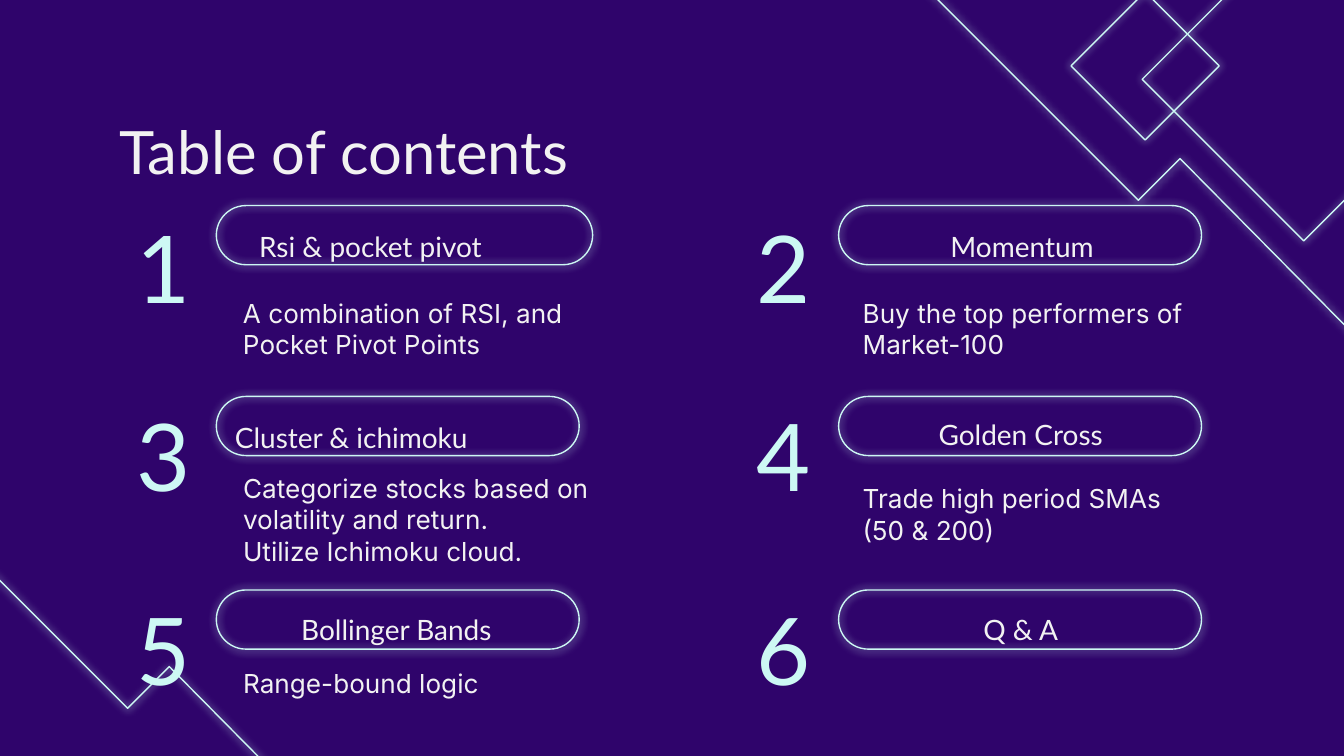
from lxml import etree
from pptx import Presentation
from pptx.dml.color import RGBColor
from pptx.enum.shapes import MSO_SHAPE as Kind
from pptx.enum.text import MSO_ANCHOR as Anchor, PP_ALIGN as Align
from pptx.oxml.ns import qn
from pptx.util import Inches, Pt

BACK, GLOW, PALE = "2F046B", "CDF8F4", "F2F2F2"
LEFT, MID = Align.LEFT, Align.CENTER
TITLE = "Table of contents"

# label, label box, alignment, pill width, detail, detail top, detail width
ITEMS = [
    ("Rsi & pocket pivot", (1.83, 1.55, 2.91, 0.44), LEFT, 2.8,
     "A combination of RSI, and Pocket Pivot Points", 2.13, 2.6),
    ("Momentum", (6.15, 1.51, 2.91, 0.52), MID, 2.7,
     "Buy the top performers of Market-100", 2.13, 2.91),
    ("Cluster & ichimoku", (1.65, 2.93, 3.14, 0.52), LEFT, 2.7,
     "Categorize stocks based on volatility and return.\nUtilize Ichimoku cloud.", 3.55, 2.91),
    ("Golden Cross", (6.32, 2.91, 2.55, 0.52), MID, 2.7,
     "Trade high period SMAs\v(50 & 200)", 3.51, 2.91),
    ("Bollinger Bands", (1.71, 4.36, 2.48, 0.52), MID, 2.7,
     "Range-bound logic", 4.77, 2.91),
    ("Q & A", (6.32, 4.36, 2.55, 0.52), MID, 2.7, None, 0, 0),
]
ROWS = [(1.46, 1.53), (2.86, 2.95), (4.3, 4.39)]
COLS = [(0.54, 1.61, 1.71), (5.15, 6.24, 6.32)]
SQUARES = [(8.85, -0.26, 1.7), (8.13, 0.1, 0.78)]
ZIGZAG = [(0, 0), (1.6, 1.6), (1.91, 1.29), (3.65, 3.05)]
CORNERS = [(6.87, -0.11), (-0.65, 3.67)]


def color(code):
    return RGBColor.from_string(code)


def neon(shape):
    shape.shadow.inherit = False
    shape.fill.background()
    shape.line.color.rgb = color(GLOW)
    shape.line.width = Pt(0.75)
    effects = shape._element.spPr.find(qn("a:effectLst"))
    shade = etree.SubElement(effects, qn("a:outerShdw"), blurRad=str(Pt(4.5)),
                             dist="0", dir="0", algn="bl", rotWithShape="0")
    etree.SubElement(shade, qn("a:srgbClr"), val=GLOW)


def outline(kind, x, y, w, h):
    shape = slide.shapes.add_shape(kind, Inches(x), Inches(y), Inches(w), Inches(h))
    neon(shape)
    return shape


def write(words, x, y, w, h, size, font="Lato", tint=PALE,
          align=LEFT, space=1.5, anchor=Anchor.MIDDLE):
    frame = slide.shapes.add_textbox(
        Inches(x), Inches(y), Inches(w), Inches(h)).text_frame
    frame.word_wrap = True
    frame.vertical_anchor = anchor
    frame.margin_left = frame.margin_right = Inches(0.1)
    frame.margin_top = frame.margin_bottom = Inches(0.1)
    frame.text = words
    for para in frame.paragraphs:
        para.alignment = align
        para.line_spacing = space
        for run in para.runs:
            run.font.size = Pt(size)
            run.font.name = font
            run.font.color.rgb = color(tint)


deck = Presentation()
deck.slide_width = Inches(10)
deck.slide_height = deck.slide_width * 9 // 16
slide = deck.slides.add_slide(deck.slide_layouts[6])
slide.background.fill.solid()
slide.background.fill.fore_color.rgb = color(BACK)

for x, y, side in SQUARES:
    outline(Kind.RECTANGLE, x, y, side, side).rotation = 135

for left, top in CORNERS:
    spots = [(Inches(left + x), Inches(top + y)) for x, y in ZIGZAG]
    path = slide.shapes.build_freeform(*spots[0])
    path.add_line_segments(spots[1:], close=False)
    neon(path.convert_to_shape())

write(TITLE, 0.79, 0.49, 8.43, 0.63, 32, anchor=Anchor.TOP)

for i, (label, box, align, wide, detail, low, span) in enumerate(ITEMS):
    high, top = ROWS[i // 2]
    num, pill, body = COLS[i % 2]
    outline(Kind.ROUNDED_RECTANGLE, pill, top, wide, 0.44).adjustments[0] = 0.5
    write(str(i + 1), num, high, 1.36, 0.63, 50, tint=GLOW, align=MID)
    write(label, *box, 15, align=align)
    if detail:
        write(detail, body, low, span, 0.63, 14, font="Inter", space=1.0)

deck.save("out.pptx")
